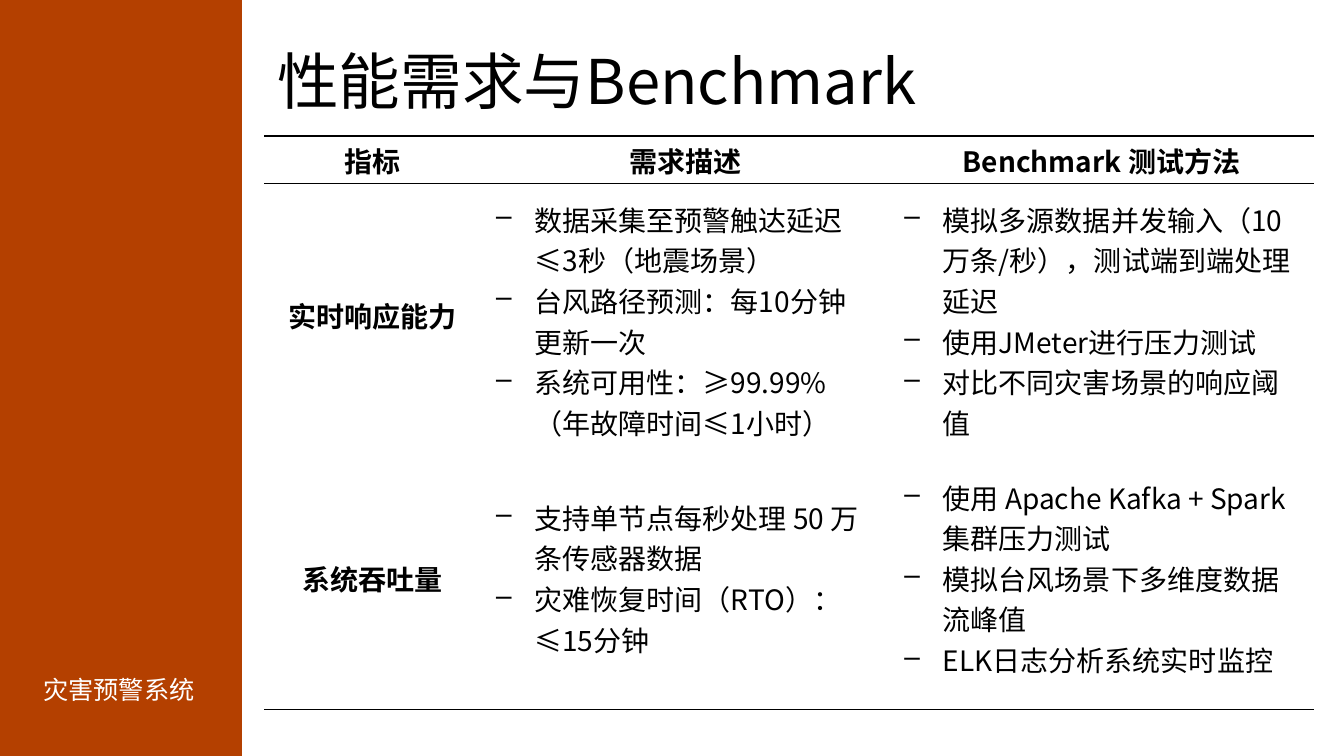
"""Build the performance requirements and benchmark slide."""
from dataclasses import dataclass

from lxml import etree
from pptx import Presentation
from pptx.dml.color import RGBColor
from pptx.enum.shapes import MSO_SHAPE
from pptx.enum.text import MSO_ANCHOR, MSO_AUTO_SIZE, PP_ALIGN
from pptx.oxml.ns import qn
from pptx.util import Inches, Pt

RECT = MSO_SHAPE.RECTANGLE
MIDDLE = MSO_ANCHOR.MIDDLE
LEFT, CENTER = PP_ALIGN.LEFT, PP_ALIGN.CENTER
FIT, NO_FIT = MSO_AUTO_SIZE.SHAPE_TO_FIT_TEXT, MSO_AUTO_SIZE.NONE
PLAIN_TABLE = "{2D5ABB26-0587-4C30-8999-92F81FD0307C}"


@dataclass(frozen=True)
class Theme:
    font: str = "Noto Sans CJK SC"
    ink: str = "000000"
    paper: str = "FFFFFF"
    accent: str = "B44000"
    title: int = 44
    body: int = 20
    label: int = 18
    rule: int = 1
    indent: float = 0.38


HEADERS = ["指标", "需求描述", "Benchmark 测试方法"]
ROWS = [
    ("实时响应能力",
     ["数据采集至预警触达延迟 ≤3秒（地震场景）",
      "台风路径预测：每10分钟更新一次",
      "系统可用性：≥99.99%（年故障时间≤1小时）"],
     ["模拟多源数据并发输入（10万条/秒），测试端到端处理延迟",
      "使用JMeter进行压力测试",
      "对比不同灾害场景的响应阈值"]),
    ("系统吞吐量",
     ["支持单节点每秒处理 50 万条传感器数据",
      "灾难恢复时间（RTO）：≤15分钟"],
     ["使用 Apache Kafka + Spark 集群压力测试",
      "模拟台风场景下多维度数据流峰值",
      "ELK日志分析系统实时监控"]),
]


def apply(obj, values):
    for name, value in values.items():
        setattr(obj, name, value)


class Deck:
    def __init__(self, theme):
        self.theme = theme
        self.prs = Presentation()
        apply(self.prs, {"slide_width": Inches(13.33), "slide_height": Inches(7.5)})
        self.s = self.prs.slides.add_slide(self.prs.slide_layouts[5])

    def run(self, p, text, size, color, bold=False):
        r = p.add_run()
        r.text = text
        apply(r.font, {"name": self.theme.font, "size": Pt(size), "bold": bold})
        r.font.color.rgb = RGBColor.from_string(color)
        ea = etree.SubElement(r.font._element, qn("a:ea"))
        ea.set("typeface", self.theme.font)

    def panel(self, box, color):
        sp = self.s.shapes.add_shape(RECT, *map(Inches, box))
        sp.shadow.inherit = False
        sp.fill.solid()
        sp.fill.fore_color.rgb = RGBColor.from_string(color)
        sp.line.fill.background()

    def label(self, box, text):
        tf = self.s.shapes.add_textbox(*map(Inches, box)).text_frame
        apply(tf, {"word_wrap": False, "auto_size": FIT})
        self.run(tf.paragraphs[0], text, self.theme.label, self.theme.paper)

    def title(self, box, text):
        sp = self.s.shapes.title
        apply(sp, dict(zip(("left", "top", "width", "height"), map(Inches, box))))
        tf = sp.text_frame
        apply(tf, {"vertical_anchor": MIDDLE, "word_wrap": True, "auto_size": NO_FIT})
        p = tf.paragraphs[0]
        apply(p, {"alignment": LEFT, "line_spacing": 0.9})
        self.run(p, text, self.theme.title, self.theme.ink)

    def border(self, cell, sides):
        tcPr = cell._tc.get_or_add_tcPr()
        for i, side in enumerate(sides):
            ln = etree.Element(qn(f"a:ln{side}"), w=str(Pt(self.theme.rule)))
            fill = etree.SubElement(ln, qn("a:solidFill"))
            etree.SubElement(fill, qn("a:srgbClr"), val=self.theme.ink)
            tcPr.insert(i, ln)

    def bullet(self, p):
        pPr = p._p.get_or_add_pPr()
        indent = Inches(self.theme.indent)
        pPr.set("marL", str(indent))
        pPr.set("indent", str(-indent))
        etree.SubElement(pPr, qn("a:buChar"), char="–")

    def cell(self, cell, content, pad, sides):
        apply(cell, {"vertical_anchor": MIDDLE,
                     "margin_left": Inches(pad[0]), "margin_right": Inches(pad[0]),
                     "margin_top": Inches(pad[1]), "margin_bottom": Inches(pad[1])})
        cell.fill.background()
        self.border(cell, sides)
        tf = cell.text_frame
        heading = isinstance(content, str)
        for i, text in enumerate([content] if heading else content):
            p = tf.add_paragraph() if i else tf.paragraphs[0]
            if heading:
                p.alignment = CENTER
            else:
                self.bullet(p)
            self.run(p, text, self.theme.body, self.theme.ink, heading)

    def table(self, box, widths, heights, rows):
        shape = self.s.shapes.add_table(len(rows), len(widths), *map(Inches, box))
        tbl = shape.table
        apply(tbl, {"first_row": False, "horz_banding": False})
        tbl._tbl.tblPr.find(qn("a:tableStyleId")).text = PLAIN_TABLE
        for col, width in zip(tbl.columns, widths):
            col.width = Inches(width)
        for i, (row, height) in enumerate(zip(rows, heights)):
            tbl.rows[i].height = Inches(height)
            pad = (0.15, 0.15) if i else (0.04, 0.02)
            sides = "TB" if i == 0 else "B" if i == len(rows) - 1 else ""
            for j, content in enumerate(row):
                self.cell(tbl.cell(i, j), content, pad, sides)


def main():
    theme = Theme()
    deck = Deck(theme)
    deck.panel((0, 0, 2.4, 7.5), theme.accent)
    deck.label((0.33, 6.64, 1.72, 0.4), "灾害预警系统")
    deck.table((2.62, 1.35, 10.4, 5.69), (2.15, 4.05, 4.21), (0.47, 2.61, 2.61),
               [HEADERS, *ROWS])
    deck.title((2.65, 0.32, 10.43, 1.03), "性能需求与Benchmark")
    deck.prs.save("out.pptx")


if __name__ == "__main__":
    main()
